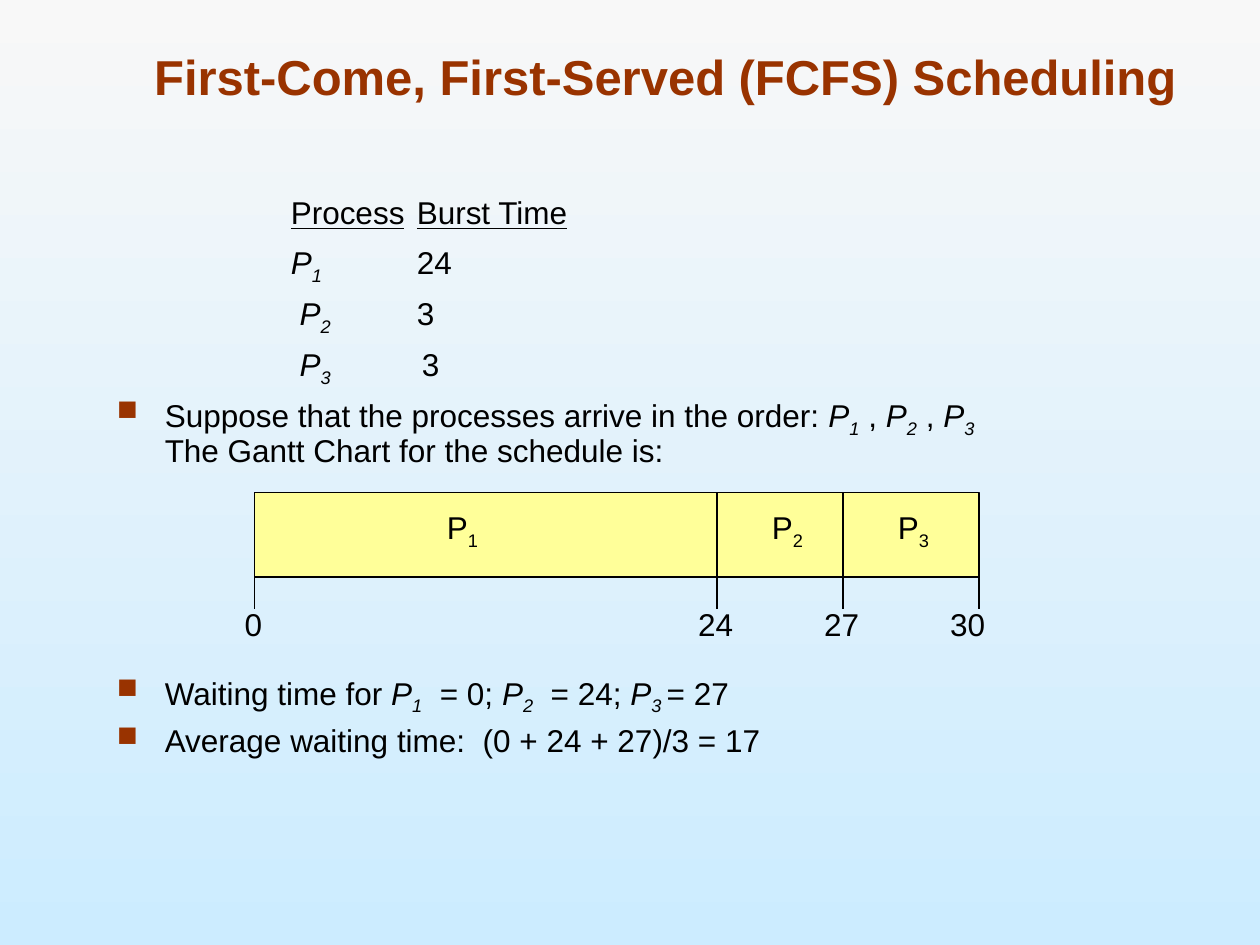
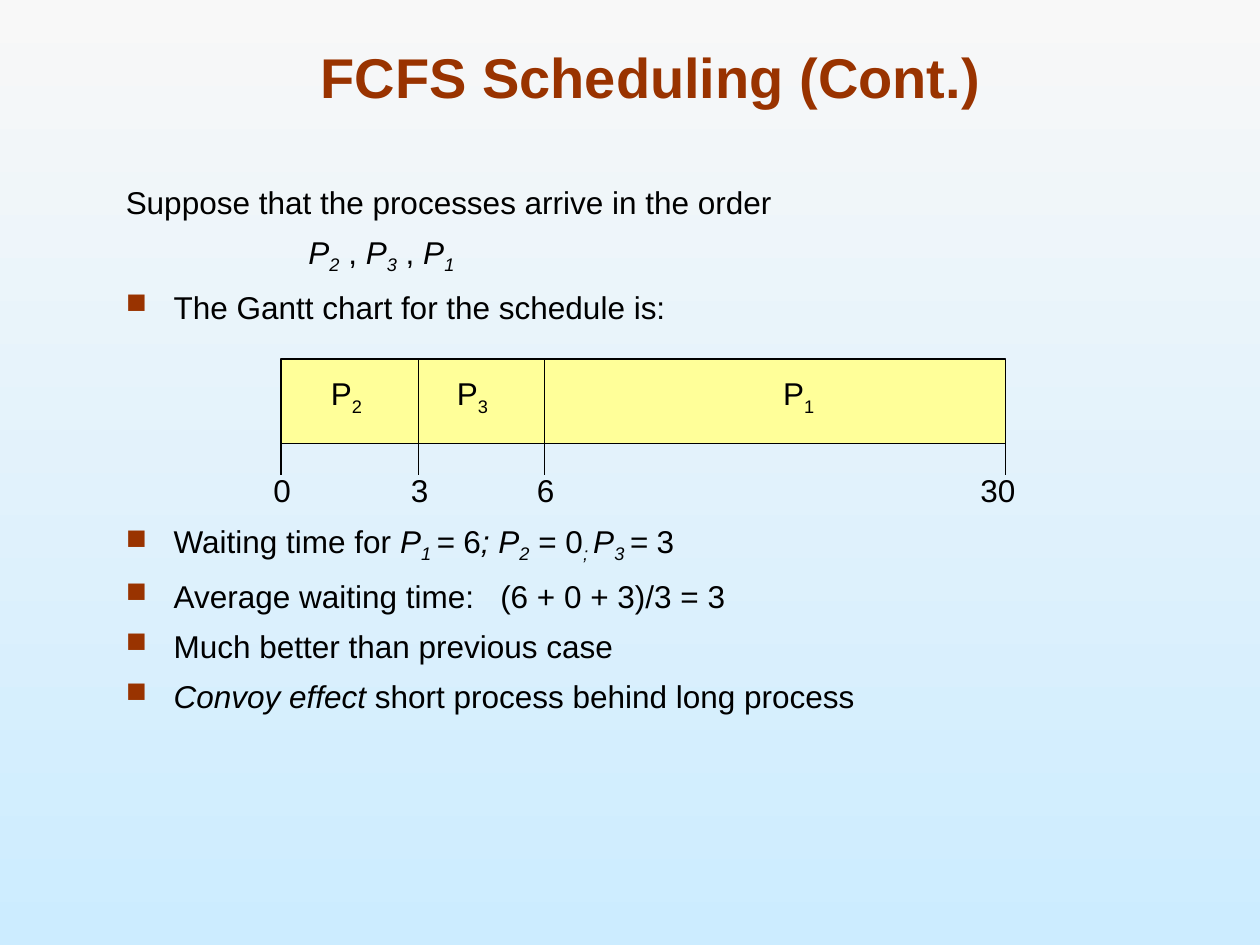
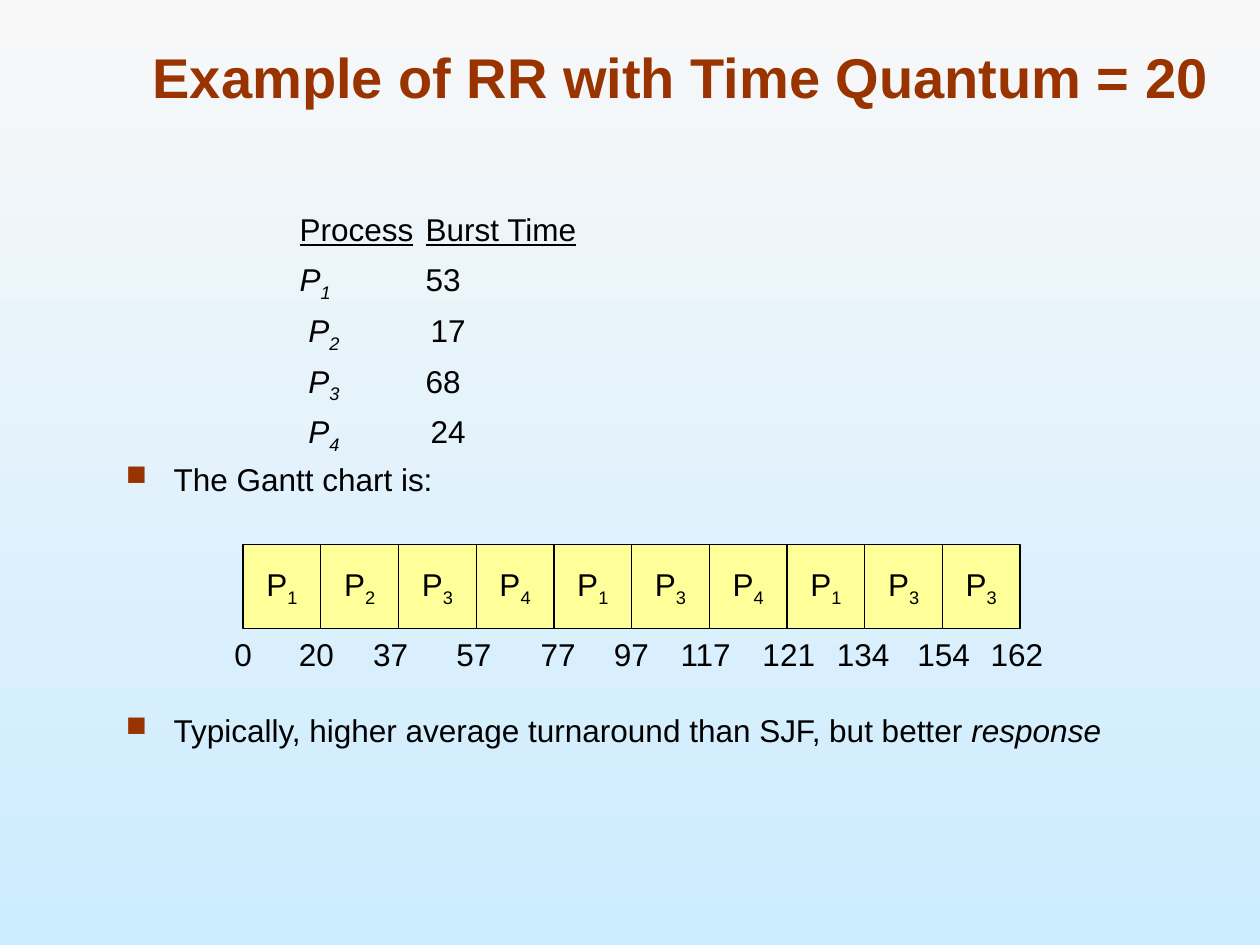
from dataclasses import dataclass

from lxml import etree
from pptx import Presentation
from pptx.dml.color import RGBColor
from pptx.enum.shapes import MSO_CONNECTOR, MSO_SHAPE
from pptx.enum.text import MSO_ANCHOR, PP_ALIGN
from pptx.oxml.ns import qn
from pptx.util import Inches, Pt

COLORS = {
    "sky_top": "F8F8F8",
    "sky_bottom": "CCECFF",
    "accent": "993300",
    "text": "000000",
    "bar": "FFFF99",
}
FONT = "Arial"
TEXT_SIZE = 18
PARAGRAPH_GAP = 7
HANGING_INDENT = 0.38
COLUMN_TABS = (1.38, 2.38)
BAR_HEIGHT = 0.67
TICK_LENGTH = 0.25
LABEL_HEIGHT = 0.4
PROCESS_LABEL_WIDTH = 0.46


@dataclass(frozen=True)
class Span:
    text: str
    italic: bool = False
    subscript: bool = False
    underline: bool = False


@dataclass(frozen=True)
class Line:
    spans: list[Span]
    bullet: bool = False
    gap: float = PARAGRAPH_GAP


@dataclass(frozen=True)
class Title:
    text: str
    left: float
    top: float
    width: float
    height: float
    size: int = 32


@dataclass(frozen=True)
class Body:
    left: float
    top: float
    width: float
    height: float
    spacing: float
    lines: list[Line]


@dataclass(frozen=True)
class Mark:
    """A process number or a time, with the centre of its label."""
    value: int
    center: float


@dataclass(frozen=True)
class Timeline:
    top: float
    edges: list[float]
    processes: list[Mark]
    times: list[Mark]


def color(name: str) -> RGBColor:
    return RGBColor.from_string(COLORS[name])


def symbol(index: int, after: str = "", italic: bool = True) -> list[Span]:
    """Return P with its subscript; any text after it is lowered too."""
    return [Span("P", italic), Span(f"{index}{after}", italic, True)]


def bullet(*spans: Span, gap: float = PARAGRAPH_GAP) -> Line:
    return Line(list(spans), True, gap)


def burst_header() -> Line:
    return Line([Span("\t"), Span("Process", underline=True),
                 Span("\t"), Span("Burst Time", underline=True)])


def burst_row(index: int, time: int, gap: str = "\t") -> Line:
    lead = "\t" if index == 1 else "\t "
    return Line([Span(lead), *symbol(index, gap), Span(str(time))])


def add_spans(para, spans: list[Span]) -> None:
    for span in spans:
        for number, text in enumerate(span.text.split("\n")):
            if number:
                para.add_line_break()
            if not text:
                continue
            run = para.add_run()
            run.text = text
            font = run.font
            font.name, font.size = FONT, Pt(TEXT_SIZE)
            font.color.rgb = color("text")
            font.italic = span.italic
            font.underline = span.underline
            if span.subscript:
                font._element.set("baseline", "-25000")


def add_bullet(properties) -> None:
    properties.set("marL", str(Inches(HANGING_INDENT)))
    properties.set("indent", str(-Inches(HANGING_INDENT)))
    bullet_color = etree.SubElement(properties, qn("a:buClr"))
    etree.SubElement(bullet_color, qn("a:srgbClr"), val=COLORS["accent"])
    etree.SubElement(properties, qn("a:buSzPct"), val="90000")
    etree.SubElement(properties, qn("a:buChar"), char="■")


def add_column_tabs(properties) -> None:
    tabs = etree.SubElement(properties, qn("a:tabLst"))
    for position in COLUMN_TABS:
        etree.SubElement(tabs, qn("a:tab"), pos=str(Inches(position)), algn="l")


def add_title(page, title: Title) -> None:
    box = page.shapes.title
    box.left, box.top = Inches(title.left), Inches(title.top)
    box.width, box.height = Inches(title.width), Inches(title.height)
    box.text_frame.vertical_anchor = MSO_ANCHOR.BOTTOM
    para = box.text_frame.paragraphs[0]
    para.alignment = PP_ALIGN.CENTER
    run = para.add_run()
    run.text = title.text
    run.font.name, run.font.size, run.font.bold = FONT, Pt(title.size), True
    run.font.color.rgb = color("accent")


def add_body(page, body: Body) -> None:
    box = page.shapes.add_textbox(Inches(body.left), Inches(body.top),
                                  Inches(body.width), Inches(body.height))
    frame = box.text_frame
    frame.word_wrap = True
    for number, line in enumerate(body.lines):
        para = frame.add_paragraph() if number else frame.paragraphs[0]
        properties = para._p.get_or_add_pPr()
        if line.bullet:
            add_bullet(properties)
        else:
            add_column_tabs(properties)
        para.line_spacing = body.spacing
        if number:
            para.space_before = Pt(line.gap)
        add_spans(para, line.spans)


def add_label(page, center: float, top: float, width: float, spans: list[Span]) -> None:
    box = page.shapes.add_textbox(Inches(center - width / 2), Inches(top),
                                  Inches(width), Inches(LABEL_HEIGHT))
    frame = box.text_frame
    frame.word_wrap = False
    frame.vertical_anchor = MSO_ANCHOR.MIDDLE
    frame.paragraphs[0].alignment = PP_ALIGN.CENTER
    add_spans(frame.paragraphs[0], spans)


def add_times(page, times: list[Mark], top: float) -> None:
    for time in times:
        text = str(time.value)
        add_label(page, time.center, top, 0.2 + 0.14 * len(text), [Span(text)])


def add_bar(page, left: float, top: float, width: float):
    bar = page.shapes.add_shape(MSO_SHAPE.RECTANGLE, Inches(left), Inches(top),
                                Inches(width), Inches(BAR_HEIGHT))
    bar.shadow.inherit = False
    bar.fill.solid()
    bar.fill.fore_color.rgb = color("bar")
    bar.line.color.rgb = color("text")
    bar.line.width = Pt(0.75)
    return bar


def add_vertical(page, x: float, top: float, length: float) -> None:
    connector = page.shapes.add_connector(MSO_CONNECTOR.STRAIGHT, Inches(x), Inches(top),
                                          Inches(x), Inches(top + length))
    connector.line.color.rgb = color("text")
    connector.line.width = Pt(0.75)
    etree.SubElement(connector._element.spPr, qn("a:effectLst"))


def add_timeline(page, timeline: Timeline) -> None:
    top, edges = timeline.top, timeline.edges
    add_bar(page, edges[0], top, edges[-1] - edges[0])
    for edge in edges[1:-1]:
        add_vertical(page, edge, top, BAR_HEIGHT)
    for edge in edges:
        add_vertical(page, edge, top + BAR_HEIGHT, TICK_LENGTH)
    for process in timeline.processes:
        add_label(page, process.center, top + 0.09, PROCESS_LABEL_WIDTH,
                  symbol(process.value, italic=False))
    add_times(page, timeline.times, top + 0.84)


def add_quantum_cells(page, left: float, top: float, pitch: float,
                      processes: list[int]) -> None:
    for number, process in enumerate(processes):
        frame = add_bar(page, left + number * pitch, top, pitch).text_frame
        frame.word_wrap = False
        frame.vertical_anchor = MSO_ANCHOR.MIDDLE
        frame.paragraphs[0].alignment = PP_ALIGN.CENTER
        add_spans(frame.paragraphs[0], symbol(process, italic=False))


def add_page(deck, title: Title, body: Body):
    page = deck.slides.add_slide(deck.slide_layouts.get_by_name("Title Only"))
    add_title(page, title)
    add_body(page, body)
    return page


def set_background(deck) -> None:
    fill = deck.slide_master.background.fill
    fill.gradient()
    fill.gradient_angle = 270
    for stop, name in zip(fill.gradient_stops, ("sky_top", "sky_bottom")):
        stop.color.rgb = color(name)


def add_first_come_page(deck) -> None:
    page = add_page(
        deck,
        Title("First-Come, First-Served (FCFS) Scheduling", 0.72, 0.39, 9.12, 0.5, 28),
        Body(0.83, 1.52, 8.27, 4.5, 0.9, [
            burst_header(),
            burst_row(1, 24),
            burst_row(2, 3),
            burst_row(3, 3, "\t "),
            bullet(Span("Suppose that the processes arrive in the order: "),
                   *symbol(1), Span(" , "), *symbol(2), Span(" , "), *symbol(3),
                   Span("\nThe Gantt Chart for the schedule is:")),
            bullet(Span("Waiting time for "), *symbol(1), Span("  = 0; "),
                   *symbol(2), Span("  = 24; "), *symbol(3, " "), Span("= 27"), gap=117),
            bullet(Span("Average waiting time:  (0 + 24 + 27)/3 = 17")),
        ]))
    add_timeline(page, Timeline(
        3.91, [2.02, 5.69, 6.69, 7.77],
        [Mark(1, 3.67), Mark(2, 6.25), Mark(3, 7.25)],
        [Mark(0, 2.01), Mark(24, 5.68), Mark(27, 6.68), Mark(30, 7.68)]))


def add_reordered_page(deck) -> None:
    page = add_page(
        deck,
        Title("FCFS Scheduling (Cont.)", 0.75, 0.25, 8.83, 0.67),
        Body(0.9, 1.4, 8.04, 4.9, 1.0, [
            Line([Span("Suppose that the processes arrive in the order")]),
            Line([Span("\t "), *symbol(2), Span(" , "), *symbol(3), Span(" , "), *symbol(1)]),
            bullet(Span("The Gantt chart for the schedule is:")),
            bullet(Span("Waiting time for "), *symbol(1, " "), Span("=", italic=True),
                   Span(" 6"), Span("; ", italic=True), *symbol(2), Span(" = 0"),
                   Span("; ", italic=True, subscript=True), *symbol(3, " "),
                   Span("= ", italic=True), Span("3"), gap=112),
            bullet(Span("Average waiting time:   (6 + 0 + 3)/3 = 3")),
            bullet(Span("Much better than previous case")),
            bullet(Span("Convoy effect", italic=True),
                   Span(" short process behind long process")),
        ]))
    add_timeline(page, Timeline(
        2.85, [2.23, 3.32, 4.32, 7.98],
        [Mark(2, 2.75), Mark(3, 3.75), Mark(1, 6.34)],
        [Mark(0, 2.24), Mark(3, 3.33), Mark(6, 4.33), Mark(30, 7.92)]))


def add_round_robin_page(deck) -> None:
    page = add_page(
        deck,
        Title("Example of RR with Time Quantum = 20", 1, 0, 8.81, 0.92),
        Body(0.9, 1.65, 8.04, 4.9, 0.9, [
            burst_header(),
            burst_row(1, 53),
            burst_row(2, 17, "\t "),
            burst_row(3, 68),
            burst_row(4, 24, "\t "),
            bullet(Span("The Gantt chart is:")),
            bullet(Span("Typically, higher average turnaround than SJF, but better "),
                   Span("response", italic=True), gap=124),
        ]))
    add_quantum_cells(page, 1.93, 4.32, 5.55 / 9, [1, 2, 3, 4, 1, 3, 4, 1, 3, 3])
    add_times(page, [
        Mark(0, 1.93), Mark(20, 2.51), Mark(37, 3.1), Mark(57, 3.76),
        Mark(77, 4.43), Mark(97, 5.01), Mark(117, 5.6), Mark(121, 6.26),
        Mark(134, 6.85), Mark(154, 7.49), Mark(162, 8.07)], 4.99)


def main() -> None:
    deck = Presentation()
    deck.slide_width, deck.slide_height = Inches(10), Inches(7.5)
    set_background(deck)
    add_first_come_page(deck)
    add_reordered_page(deck)
    add_round_robin_page(deck)
    deck.save("out.pptx")


if __name__ == "__main__":
    main()
